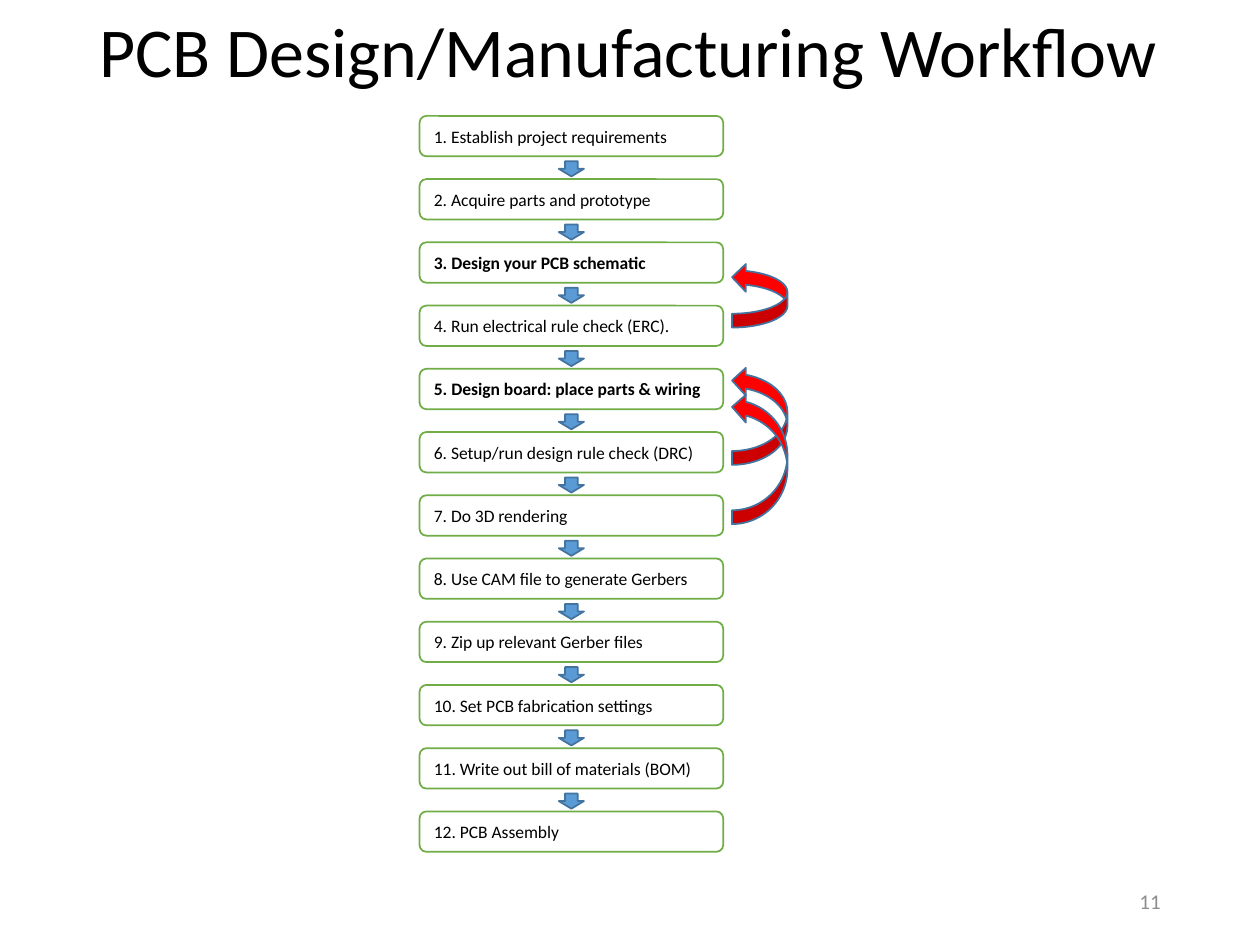
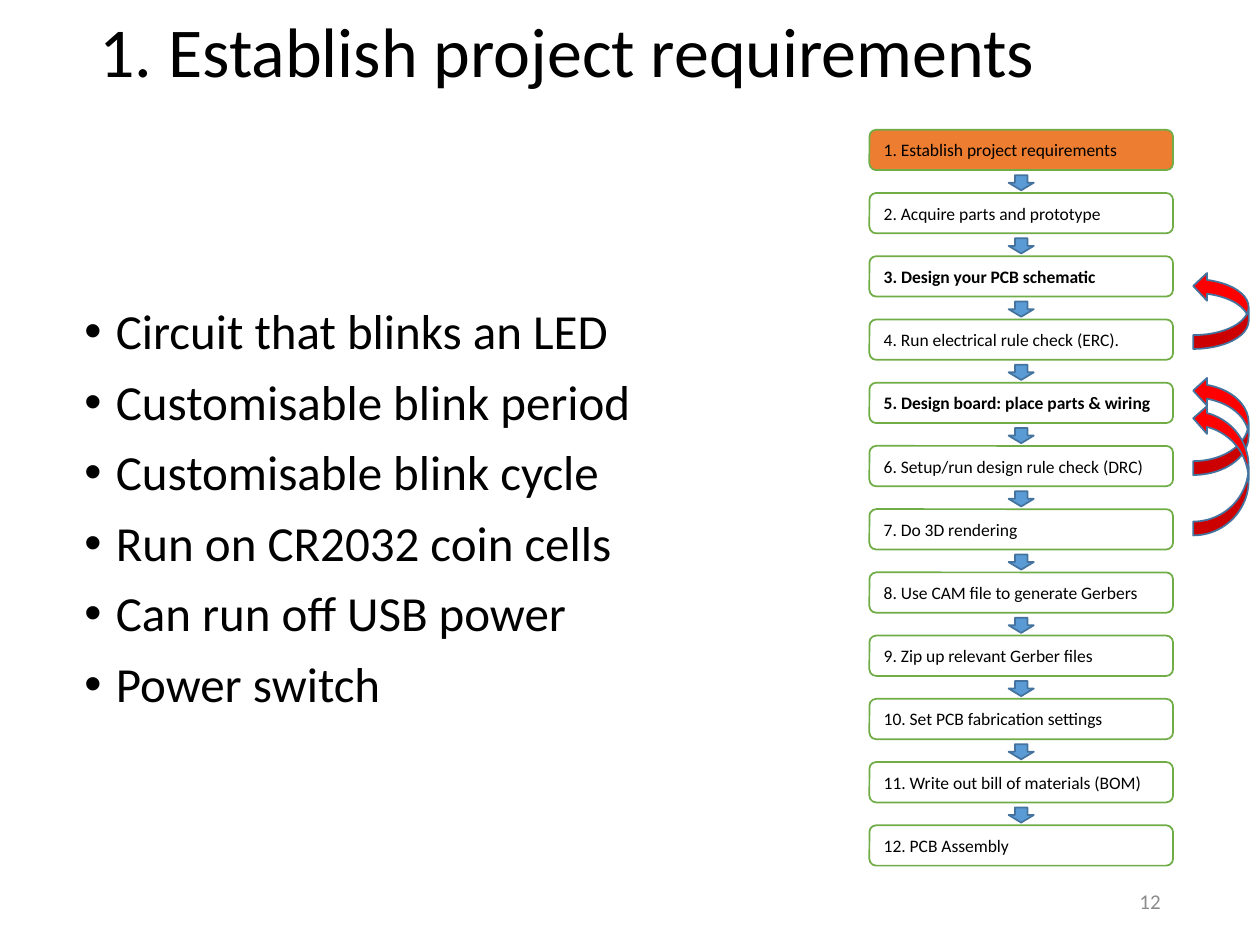
from pptx import Presentation
from pptx.dml.color import RGBColor
from pptx.enum import shapes, text
from pptx.oxml import parse_xml
from pptx.oxml.ns import nsdecls
from pptx.util import Inches, Pt

COLOURS = {
    "text": "000000", "number": "8C8C8C", "box": "FFFFFF", "current": "ED7D31",
    "border": "70AD47", "down": "5B9BD5", "back": "FF0000", "outline": "43739E",
}
SHAPE = shapes.MSO_SHAPE
ALIGN = text.PP_ALIGN
MIDDLE = text.MSO_ANCHOR.MIDDLE
STEPS = [
    "Establish project requirements", "Acquire parts and prototype",
    "Design your PCB schematic", "Run electrical rule check (ERC).",
    "Design board: place parts & wiring", "Setup/run design rule check (DRC)",
    "Do 3D rendering", "Use CAM file to generate Gerbers",
    "Zip up relevant Gerber files", "Set PCB fabrication settings",
    "Write out bill of materials (BOM)", "PCB Assembly",
]
DESIGN_STEPS = (3, 5)
REQUIREMENTS = [
    "Circuit that blinks an LED", "Customisable blink period",
    "Customisable blink cycle", "Run on CR2032 coin cells",
    "Can run off USB power", "Power switch",
]
PITCH, STEP_W, STEP_H = 5.52 / 11, 2.41, 0.32
DOWN_W, DOWN_H = 0.2, 0.12


def colour(name):
    """Return the named colour."""
    return RGBColor.from_string(COLOURS[name])


def set_all(obj, **values):
    """Set each attribute of an object from keyword values."""
    for name, value in values.items():
        setattr(obj, name, value)


def place(sp, x, y, w, h):
    """Move and size a shape, in inches."""
    set_all(sp, left=Inches(x), top=Inches(y), width=Inches(w), height=Inches(h))


def write(p, words, size, ink="text", bold=False, **layout):
    """Fill a paragraph with one formatted run."""
    set_all(p, **layout)
    r = p.add_run()
    r.text = words
    set_all(r.font, name="Calibri", size=Pt(size), bold=bold)
    r.font.color.rgb = colour(ink)


def add_block(s, kind, x, y, w, h, fill, line):
    """Add a filled, outlined preset shape without a shadow."""
    sp = s.shapes.add_shape(kind, *map(Inches, (x, y, w, h)))
    sp.shadow.inherit = False
    sp.fill.solid()
    sp.fill.fore_color.rgb = colour(fill)
    sp.line.color.rgb = colour(line)
    sp.line.width = Pt(1)
    return sp


def add_workflow(s, x, y, back_x, returns, current=None):
    """Draw the steps, the arrows between them and the return arrows."""
    for i, step in enumerate(STEPS):
        number, top = i + 1, y + i * PITCH
        fill = "current" if number == current else "box"
        sp = add_block(s, SHAPE.ROUNDED_RECTANGLE, x, top, STEP_W, STEP_H, fill, "border")
        set_all(sp.text_frame, word_wrap=True, vertical_anchor=MIDDLE)
        write(sp.text_frame.paragraphs[0], f"{number}. {step}", 10,
              bold=number in DESIGN_STEPS, alignment=ALIGN.LEFT)
        if number < len(STEPS):
            add_block(s, SHAPE.DOWN_ARROW, x + (STEP_W - DOWN_W) / 2, top + 0.36,
                      DOWN_W, DOWN_H, "down", "outline")
    for back_y, height in returns:
        sp = add_block(s, SHAPE.CURVED_LEFT_ARROW, x + back_x, y + back_y,
                       0.44, height, "back", "outline")
        sp.element.spPr.xfrm.set("flipV", "1")


def add_slide(prs, layout, title, number):
    """Add a slide with the shared title and page number."""
    s = prs.slides.add_slide(prs.slide_layouts.get_by_name(layout))
    sp = s.shapes.title
    place(sp, 0.69, 0, 8.62, 0.87)
    set_all(sp.text_frame, word_wrap=True, vertical_anchor=MIDDLE,
            auto_size=text.MSO_AUTO_SIZE.NONE)
    write(sp.text_frame.paragraphs[0], title, 40, alignment=ALIGN.LEFT, line_spacing=0.9)
    sp = s.shapes.add_textbox(*map(Inches, (7.06, 6.95, 2.25, 0.4)))
    set_all(sp.text_frame, word_wrap=True, vertical_anchor=MIDDLE)
    write(sp.text_frame.paragraphs[0], str(number), 12, "number", alignment=ALIGN.RIGHT)
    return s


def fill_list(sp, items):
    """Fill the body placeholder with a bulleted list."""
    place(sp, 0.57, 1.27, 8.62, 4.76)
    tf = sp.text_frame
    set_all(tf, word_wrap=True, vertical_anchor=text.MSO_ANCHOR.TOP,
            margin_top=Inches(1.17), auto_size=text.MSO_AUTO_SIZE.NONE)
    for i, item in enumerate(items):
        p = tf.add_paragraph() if i else tf.paragraphs[0]
        pPr = p._p.get_or_add_pPr()
        pPr.set("marL", str(Inches(0.25)))
        pPr.set("indent", str(-Inches(0.25)))
        pPr.append(parse_xml(f'<a:buFont {nsdecls("a")} typeface="Arial"/>'))
        pPr.append(parse_xml(f'<a:buChar {nsdecls("a")} char="•"/>'))
        write(p, item, 28, line_spacing=0.9, space_before=Pt(10 if i else 0))


def overview_slide(prs):
    """Build the workflow overview."""
    s = add_slide(prs, "Title Only", "PCB Design/Manufacturing Workflow", 11)
    add_workflow(s, 3.33, 0.92, 2.48, [(1.17, 0.51), (1.99, 0.78), (2.2, 1.04)])


def requirements_slide(prs):
    """Build the first step with its requirements."""
    s = add_slide(prs, "Title and Content", f"1. {STEPS[0]}", 12)
    fill_list(s.placeholders[1], REQUIREMENTS)
    add_workflow(s, 6.9, 1.03, 2.57, [(1.13, 0.61), (1.96, 0.78), (2.18, 1.04)], current=1)


def main():
    """Build and save the presentation."""
    prs = Presentation()
    set_all(prs, slide_width=Inches(10), slide_height=Inches(7.5))
    overview_slide(prs)
    requirements_slide(prs)
    prs.save("out.pptx")


if __name__ == "__main__":
    main()
